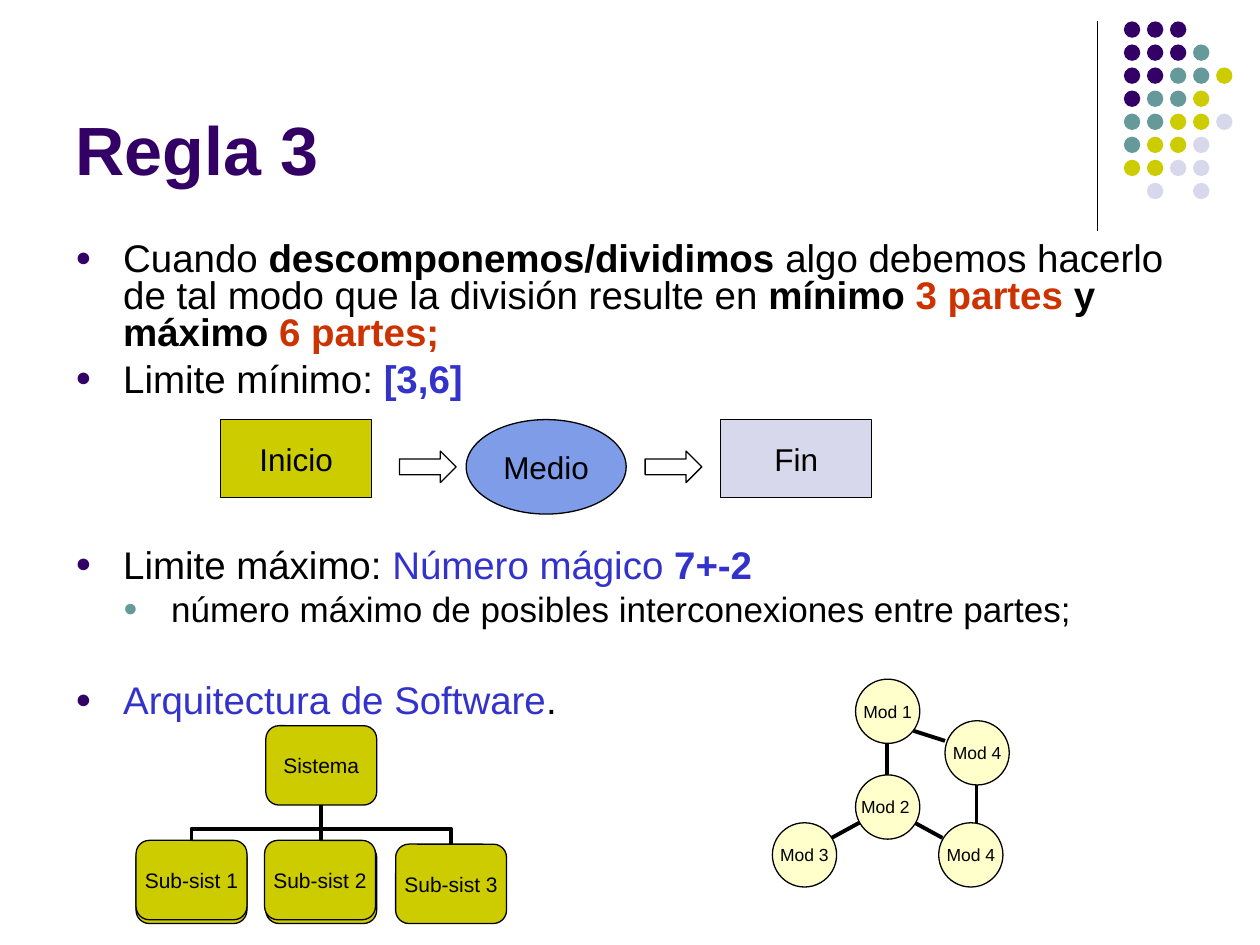
"""Build the "Regla 3" slide about splitting a whole into three to six parts."""
from lxml import etree
from pptx import Presentation
from pptx.dml.color import RGBColor
from pptx.enum import shapes, text
from pptx.oxml import ns
from pptx.util import Inches, Pt

COLORS = {
    "ink": "000000", "white": "FFFFFF", "purple": "330066", "teal": "669999",
    "olive": "CCCC00", "lilac": "D8D8EC", "red": "CC3300", "blue": "3333CC",
    "sky": "7E9CE8", "cream": "FFFFCC",
}
FONT = "Arial"
KIND = shapes.MSO_SHAPE

DOT_ROWS = ["PPP", "PPPT", "PPTTY", "PTTY", "TTYYL", "TYYL", "YYLL", " L L"]
DOT_COLORS = {"P": "purple", "T": "teal", "Y": "olive", "L": "lilac"}
DOT_LEFT, DOT_TOP, DOT_STEP, DOT_SIZE = 8.92, 0.17, 0.183, 0.13

LINE_SPACING = 0.8
GAP_LINE = 26.6
LEVELS = [
    {"size": 22, "before": 5.5, "indent": 0.38, "bullet": "purple"},
    {"size": 20, "before": 5, "indent": 0.76, "bullet": "teal"},
]
BODY = [
    (0, 0, [("Cuando ", "ink", False), ("descomponemos/dividimos", "ink", True),
            (" algo debemos hacerlo de tal modo que la división resulte en ", "ink", False),
            ("mínimo ", "ink", True), ("3 partes", "red", True),
            (" y máximo ", "ink", True), ("6 partes;", "red", True)]),
    (0, 0, [("Limite mínimo: ", "ink", False), ("[3,6]", "blue", True)]),
    (0, 3, [("Limite máximo: ", "ink", False), ("Número mágico ", "blue", False),
            ("7+-2", "blue", True)]),
    (1, 0, [("número máximo de posibles interconexiones entre partes;", "ink", False)]),
    (0, 1, [("Arquitectura de Software", "blue", False), (".", "ink", False)]),
]

FLOW = [
    (KIND.OVAL, 3.7, 3.33, 1.27, 0.75, "sky", "Medio"),
    (KIND.RECTANGLE, 1.75, 3.33, 1.2, 0.62, "olive", "Inicio"),
    (KIND.RECTANGLE, 5.72, 3.33, 1.2, 0.62, "lilac", "Fin"),
    (KIND.RIGHT_ARROW, 3.17, 3.58, 0.45, 0.25, "white", ""),
    (KIND.RIGHT_ARROW, 5.12, 3.58, 0.45, 0.25, "white", ""),
]

BOX_W, BOX_H = 0.88, 0.63
SYSTEM = ("Sistema", 2.11, 5.76)
SUBSYSTEMS = [("Sub-sist 1", 1.08), ("Sub-sist 2", 2.11), ("Sub-sist 3", 3.14)]
SUB_TOP = 6.7
FRONT_BOXES = [("Sub-sist 1", 1.08, 6.67), ("Sub-sist 2", 2.1, 6.67)]

MODULE_SIZE = 0.51
MODULES = [("Mod 3", 6.13, 6.53), ("Mod 4", 7.45, 6.53), ("Mod 1", 6.79, 5.39),
           ("Mod 2 ", 6.79, 6.15), ("Mod 4", 7.5, 5.72)]
MODULE_LINKS = [(6.82, 6.53, 6.6, 6.65), (7.26, 6.53, 7.48, 6.65), (7.04, 6.15, 7.04, 5.89),
                (7.25, 5.8, 7.5, 5.88), (7.75, 6.22, 7.75, 6.55)]


def rgb(name):
    return RGBColor.from_string(COLORS[name])


def add_run(p, words, size, color="ink", bold=False):
    r = p.add_run()
    r.text = words
    for key, value in {"name": FONT, "size": Pt(size), "bold": bold}.items():
        setattr(r.font, key, value)
    r.font.color.rgb = rgb(color)


def add_figure(s, kind, x, y, w, h, fill, label="", size=18, line=True):
    sp = s.shapes.add_shape(kind, Inches(x), Inches(y), Inches(w), Inches(h))
    sp.shadow.inherit = False
    sp.fill.solid()
    sp.fill.fore_color.rgb = rgb(fill)
    if line:
        sp.line.color.rgb = rgb("ink")
        sp.line.width = Pt(0.75)
    else:
        sp.line.fill.background()
    if label:
        tf = sp.text_frame
        frame = {"word_wrap": False, "vertical_anchor": text.MSO_ANCHOR.MIDDLE,
                 "margin_left": 0, "margin_right": 0, "margin_top": 0, "margin_bottom": 0}
        for key, value in frame.items():
            setattr(tf, key, value)
        p = tf.paragraphs[0]
        p.alignment = text.PP_ALIGN.CENTER
        add_run(p, label, size)
    return sp


def add_line(s, x1, y1, x2, y2, width=2.25, kind=shapes.MSO_CONNECTOR.STRAIGHT):
    c = s.shapes.add_connector(kind, *map(Inches, (x1, y1, x2, y2)))
    c.line.color.rgb = rgb("ink")
    c.line.width = Pt(width)
    etree.SubElement(c._element.spPr, ns.qn("a:effectLst"))
    return c


def add_branch(s, x1, y1, x2, y2):
    c = add_line(s, x1, y1, x2, y2, kind=shapes.MSO_CONNECTOR.ELBOW)
    drop, reach = y2 - y1, abs(x2 - x1)
    place = {"left": (x1 + x2 - drop) / 2, "top": (y1 + y2 - reach) / 2,
             "width": drop, "height": reach}
    for key, value in place.items():
        setattr(c, key, Inches(value))
    xfrm = c._element.spPr.find(ns.qn("a:xfrm"))
    xfrm.attrib.pop("flipH", None)
    xfrm.set("rot", "5400000")
    if x2 > x1:
        xfrm.set("flipV", "1")
    guides = c._element.spPr.find(ns.qn("a:prstGeom")).find(ns.qn("a:avLst"))
    etree.SubElement(guides, ns.qn("a:gd"), name="adj1", fmla="val 60000")


def add_text(s, x, y, w, h):
    tf = s.shapes.add_textbox(*map(Inches, (x, y, w, h))).text_frame
    tf.word_wrap = True
    return tf


def add_bullet(p, indent, color):
    ppr = p._p.get_or_add_pPr()
    ppr.set("marL", str(Inches(indent)))
    ppr.set("indent", str(Inches(-0.38)))
    tint = etree.SubElement(ppr, ns.qn("a:buClr"))
    etree.SubElement(tint, ns.qn("a:srgbClr"), val=COLORS[color])
    etree.SubElement(ppr, ns.qn("a:buSzPct"), val="70000")
    etree.SubElement(ppr, ns.qn("a:buFont"), typeface=FONT)
    etree.SubElement(ppr, ns.qn("a:buChar"), char="●")


def add_body(s):
    tf = add_text(s, 0.5, 1.88, 9, 4.04)
    for i, (level, gap_lines, runs) in enumerate(BODY):
        p = tf.add_paragraph() if i else tf.paragraphs[0]
        style = LEVELS[level]
        p.level = level
        p.line_spacing = LINE_SPACING
        p.space_before = Pt(style["before"] + gap_lines * GAP_LINE)
        add_bullet(p, style["indent"], style["bullet"])
        for words, color, bold in runs:
            add_run(p, words, style["size"], color, bold)


def add_box(s, label, x, y):
    return add_figure(s, KIND.ROUNDED_RECTANGLE, x, y, BOX_W, BOX_H, "olive", label, 12)


def add_tree(s):
    root = add_box(s, *SYSTEM)
    root_x, root_bottom = SYSTEM[1] + BOX_W / 2, SYSTEM[2] + BOX_H
    for label, x in SUBSYSTEMS:
        box = add_box(s, label, x, SUB_TOP)
        ends = (root_x, root_bottom, x + BOX_W / 2, SUB_TOP)
        if x == SYSTEM[1]:
            c = add_line(s, *ends)
            c.begin_connect(root, 2)
            c.end_connect(box, 0)
        else:
            add_branch(s, *ends)
    for front in FRONT_BOXES:
        add_box(s, *front)


def main():
    prs = Presentation()
    prs.slide_width, prs.slide_height = Inches(10), Inches(7.5)
    s = prs.slides.add_slide(prs.slide_layouts[6])
    add_line(s, 8.71, 0.17, 8.71, 1.83, 0.75)
    for row, marks in enumerate(DOT_ROWS):
        for col, mark in enumerate(marks):
            if mark in DOT_COLORS:
                add_figure(s, KIND.OVAL, DOT_LEFT + col * DOT_STEP, DOT_TOP + row * DOT_STEP,
                           DOT_SIZE, DOT_SIZE, DOT_COLORS[mark], line=False)
    title = add_text(s, 0.5, 0.13, 8.25, 1.42)
    title.vertical_anchor = text.MSO_ANCHOR.BOTTOM
    add_run(title.paragraphs[0], "Regla 3", 39, "purple", True)
    add_body(s)
    add_tree(s)
    for figure in FLOW:
        add_figure(s, *figure)
    for link in MODULE_LINKS:
        add_line(s, *link)
    for label, x, y in MODULES:
        add_figure(s, KIND.OVAL, x, y, MODULE_SIZE, MODULE_SIZE, "cream", label, 10)
    prs.save("out.pptx")


if __name__ == "__main__":
    main()
